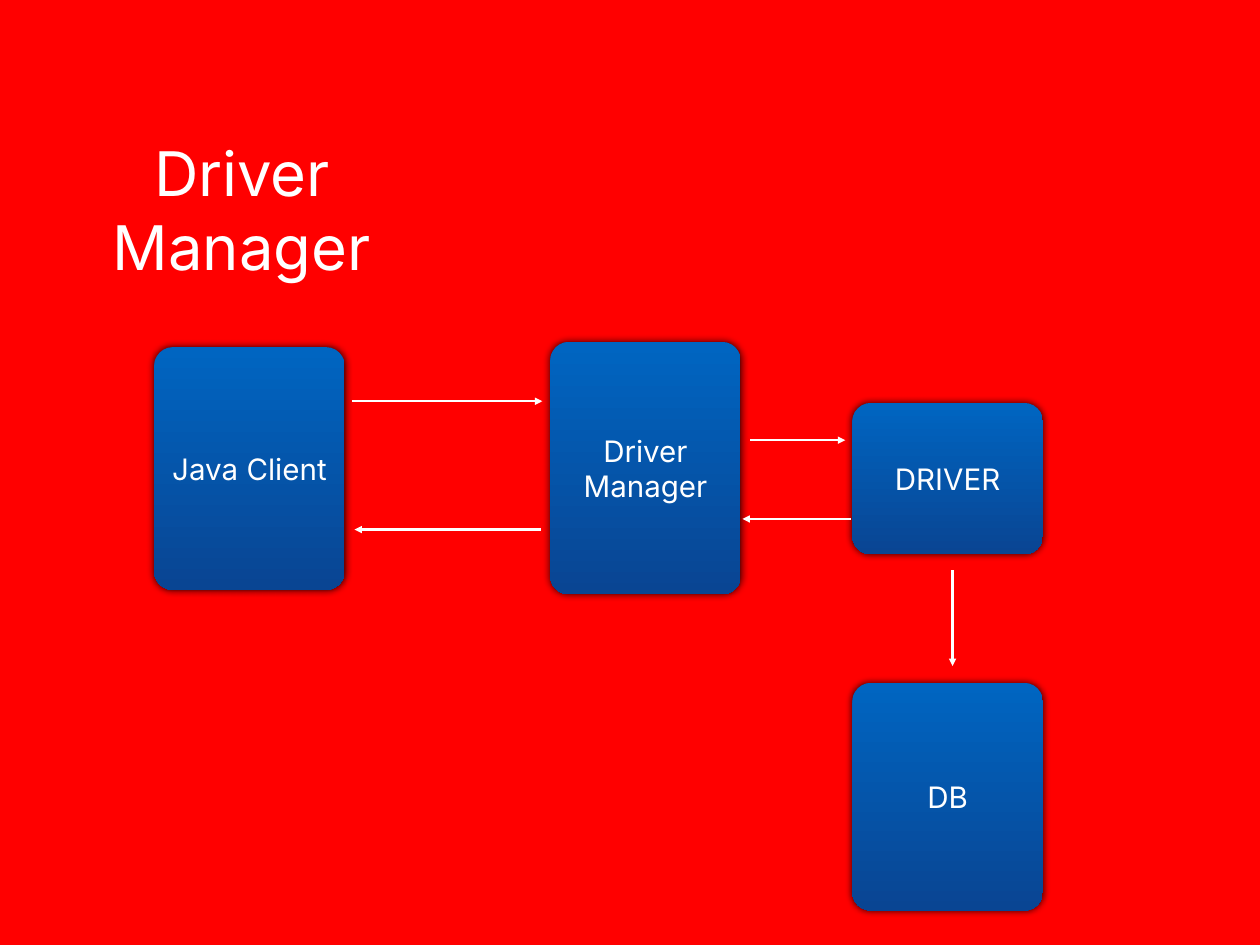
from dataclasses import dataclass

from lxml import etree
from pptx import Presentation
from pptx import util as u
from pptx.dml.color import RGBColor
from pptx.enum import shapes, text
from pptx.oxml.ns import qn


@dataclass(frozen=True)
class Theme:
    font: str = "Inter"
    background: str = "FF0000"
    ink: str = "FFFFFF"
    box_top: str = "0065C1"
    box_bottom: str = "094593"
    shadow: str = "000000"
    title_size: int = 50
    label_size: int = 24
    line_width: int = 2
    shadow_blur: int = 6
    inset: float = 0.06
    corner: float = 1.47


def set_words(frame, words, *, size, color, font, inset):
    frame.word_wrap = True
    frame.auto_size = text.MSO_AUTO_SIZE.NONE
    frame.vertical_anchor = text.MSO_ANCHOR.MIDDLE
    frame.margin_left = frame.margin_right = u.Inches(inset)
    frame.margin_top = frame.margin_bottom = u.Inches(inset)
    line = frame.paragraphs[0]
    line.alignment = text.PP_ALIGN.CENTER
    run = line.add_run()
    run.text = words
    run.font.name = font
    run.font.size = u.Pt(size)
    run.font.color.rgb = RGBColor.from_string(color)


class FlowSlide:
    def __init__(self, deck, theme):
        self.theme = theme
        self.column = deck.slide_width / 100
        self.row = deck.slide_height / 100
        self.slide = deck.slides.add_slide(deck.slide_layouts[5])
        backdrop = self.slide.background.fill
        backdrop.solid()
        backdrop.fore_color.rgb = RGBColor.from_string(theme.background)

    def place(self, left, top):
        return round(left * self.column), round(top * self.row)

    def caption(self, frame, words, size):
        set_words(frame, words, size=size, color=self.theme.ink,
                  font=self.theme.font, inset=self.theme.inset)

    def title(self, words, left, top, width, height):
        heading = self.slide.shapes.title
        heading.left, heading.top = self.place(left, top)
        heading.width, heading.height = self.place(width, height)
        self.caption(heading.text_frame, words, self.theme.title_size)

    def box(self, words, left, top, width, height):
        box = self.slide.shapes.add_shape(
            shapes.MSO_SHAPE.ROUNDED_RECTANGLE,
            *self.place(left, top), *self.place(width, height))
        shorter = min(box.width, box.height)
        box.adjustments[0] = self.theme.corner * self.column / shorter
        box.fill.gradient()
        box.fill.gradient_angle = 270
        tones = self.theme.box_top, self.theme.box_bottom
        for stop, tone in zip(box.fill.gradient_stops, tones):
            stop.color.rgb = RGBColor.from_string(tone)
        box.line.fill.background()
        self.glow(box)
        self.caption(box.text_frame, words, self.theme.label_size)

    def glow(self, box):
        box.shadow.inherit = False
        effects = box._element.spPr.find(qn("a:effectLst"))
        shade = etree.SubElement(
            effects, qn("a:outerShdw"), blurRad=str(u.Pt(self.theme.shadow_blur)),
            dist="0", dir="18900000", rotWithShape="0")
        color = etree.SubElement(shade, qn("a:srgbClr"), val=self.theme.shadow)
        etree.SubElement(color, qn("a:alpha"), val="80000")

    def arrow(self, start, end):
        arrow = self.slide.shapes.add_connector(
            shapes.MSO_CONNECTOR.STRAIGHT, *self.place(*start), *self.place(*end))
        arrow.line.color.rgb = RGBColor.from_string(self.theme.ink)
        arrow.line.width = u.Pt(self.theme.line_width)
        outline = arrow._element.spPr.find(qn("a:ln"))
        etree.SubElement(outline, qn("a:tailEnd"), type="triangle")
        etree.SubElement(arrow._element.spPr, qn("a:effectLst"))


def main():
    deck = Presentation()
    deck.slide_width, deck.slide_height = u.Inches(14.22), u.Inches(10.67)
    flow = FlowSlide(deck, Theme())
    flow.title("Driver Manager", 8.3, 13.64, 21.8, 16.87)

    box_width = 15.12
    client_left, manager_left, driver_left = 12.24, 43.67, 67.65
    for words, left, top, height in (
        ("Java Client", client_left, 36.74, 25.68),
        ("Driver Manager", manager_left, 36.18, 26.71),
        ("DRIVER", driver_left, 42.64, 16.03),
        ("DB", driver_left, 72.26, 24.09),
    ):
        flow.box(words, left, top, box_width, height)

    for start, end in (
        ((27.92, 42.46), (43.04, 42.46)),
        ((42.9, 56.04), (28.13, 56.04)),
        ((59.56, 46.58), (67.09, 46.58)),
        ((67.51, 54.92), (58.93, 54.92)),
        ((75.6, 60.36), (75.6, 70.48)),
    ):
        flow.arrow(start, end)

    deck.save("out.pptx")


if __name__ == "__main__":
    main()
